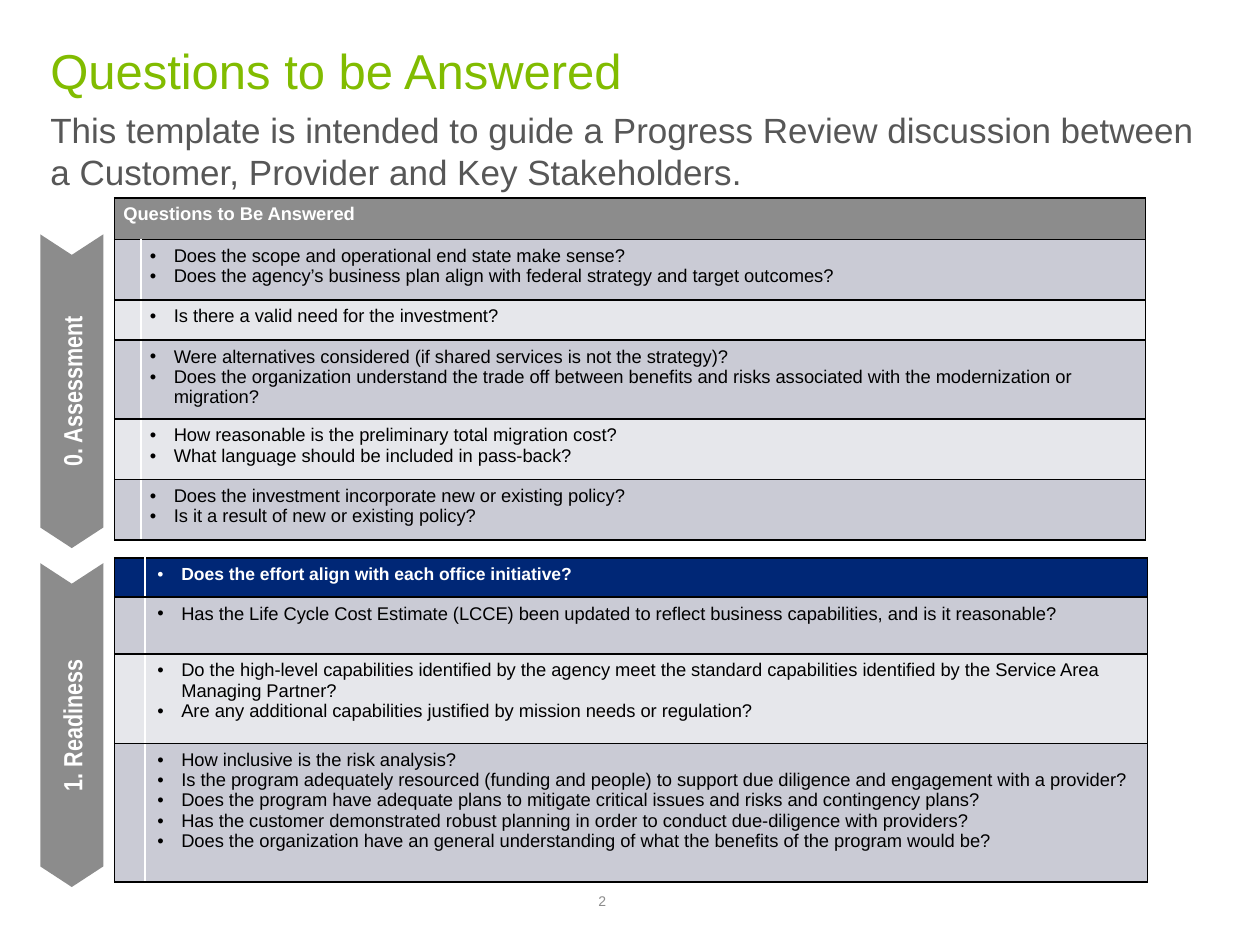
from dataclasses import dataclass
from lxml import etree
from pptx import Presentation
from pptx import util as u
from pptx.dml.color import RGBColor
from pptx.enum import shapes, text
from pptx.oxml.ns import qn


@dataclass(frozen=True)
class Theme:
    green: str = "81BC00"
    gray: str = "8C8C8C"
    slate: str = "575757"
    navy: str = "002776"
    dark: str = "CACBD5"
    light: str = "E6E7EB"
    white: str = "FFFFFF"
    black: str = "000000"
    title: float = 28
    lead: float = 20
    stage: float = 15
    cell: float = 10.5
    head: float = 10
    page: float = 8
    face: str = "Arial"
    slim: str = "Arial Narrow"


T = Theme()
INTRO = ("This template is intended to guide a Progress Review discussion "
         "between a Customer, Provider and Key Stakeholders.")
ASSESS = [
    (0.33, T.gray, ["Questions to Be Answered"]),
    (0.48, T.dark, [
        "Does the scope and operational end state make sense?",
        "Does the agency’s business plan align with federal strategy and target outcomes?"]),
    (0.32, T.light, ["Is there a valid need for the investment?"]),
    (0.48, T.dark, [
        "Were alternatives considered (if shared services is not the strategy)?",
        "Does the organization understand the trade off between benefits and risks "
        "associated with the modernization or migration?"]),
    (0.48, T.light, [
        "How reasonable is the preliminary total migration cost?",
        "What language should be included in pass-back?"]),
    (0.48, T.dark, [
        "Does the investment incorporate new or existing policy?",
        "Is it a result of new or existing policy?"]),
]
READY = [
    (0.31, T.navy, ["Does the effort align with each office initiative?"]),
    (0.45, T.dark, [
        "Has the Life Cycle Cost Estimate (LCCE) been updated to reflect business "
        "capabilities, and is it reasonable?"]),
    (0.71, T.light, [
        "Do the high-level capabilities identified by the agency meet the standard "
        "capabilities identified by the Service Area Managing Partner?",
        "Are any additional capabilities justified by mission needs or regulation?"]),
    (1.1, T.dark, [
        "How inclusive is the risk analysis?",
        "Is the program adequately resourced (funding and people) to support due "
        "diligence and engagement with a provider?",
        "Does the program have adequate plans to mitigate critical issues and risks "
        "and contingency plans?",
        "Has the customer demonstrated robust planning in order to conduct "
        "due-diligence with providers?",
        "Does the organization have an general understanding of what the benefits "
        "of the program would be?"]),
]


def style(obj, form):
    for name, value in form.items():
        setattr(obj, name, value)


def paint(fill, color):
    fill.solid()
    fill.fore_color.rgb = RGBColor.from_string(color)


def write(para, words, size, color, bold=False, face=T.face):
    run = para.add_run()
    run.text = words
    style(run.font, {"size": u.Pt(size), "bold": bold, "name": face})
    run.font.color.rgb = RGBColor.from_string(color)


def inset(frame, **form):
    sides = {f"margin_{side}": 0 for side in ("left", "top", "right", "bottom")}
    style(frame, {**sides, "word_wrap": True, **form})


def label(slide, box, words, size, color, anchor=text.MSO_ANCHOR.TOP):
    frame = slide.shapes.add_textbox(*map(u.Inches, box)).text_frame
    inset(frame, vertical_anchor=anchor)
    write(frame.paragraphs[0], words, size, color)


def stage(slide, box, words):
    left, top, wide, high = box
    place = (left + (wide - high) / 2, top + (high - wide) / 2, high, wide)
    shape = slide.shapes.add_shape(shapes.MSO_SHAPE.CHEVRON, *map(u.Inches, place))
    shape.adjustments[0] = 0.326
    shape.rotation = 270
    shape._element.spPr.find(qn("a:xfrm")).set("flipH", "1")
    shape.shadow.inherit = False
    paint(shape.fill, T.gray)
    shape.line.fill.background()
    inset(shape.text_frame, vertical_anchor=text.MSO_ANCHOR.MIDDLE)
    para = shape.text_frame.paragraphs[0]
    para.alignment = text.PP_ALIGN.CENTER
    write(para, words, T.stage, T.white, True, T.slim)


def bullet(para, color):
    props = para._p.get_or_add_pPr()
    indent = u.Inches(0.19)
    props.set("marL", str(indent))
    props.set("indent", str(-indent))
    tint = etree.SubElement(props, qn("a:buClr"))
    etree.SubElement(tint, qn("a:srgbClr"), val=color)
    etree.SubElement(props, qn("a:buFont"), typeface=T.face)
    etree.SubElement(props, qn("a:buChar"), char="•")


def border(cell, **colors):
    props = cell._tc.get_or_add_tcPr()
    sides = {"lnL": T.black, "lnR": T.black, "lnT": T.black, "lnB": T.black, **colors}
    for spot, (side, color) in enumerate(sides.items()):
        line = etree.Element(qn(f"a:{side}"), w=str(u.Pt(1)))
        fill = etree.SubElement(line, qn("a:solidFill"))
        etree.SubElement(fill, qn("a:srgbClr"), val=color)
        props.insert(spot, line)


def grid(slide, box, rows, slot, pad, title=False):
    wide = box[2]
    frame = slide.shapes.add_table(len(rows), 2, *map(u.Inches, box))
    table = frame.table
    for col, size in zip(table.columns, (slot, wide - slot)):
        col.width = u.Inches(size)
    for index, (high, fill, lines) in enumerate(rows):
        table.rows[index].height = u.Inches(high)
        blank, cell = table.cell(index, 0), table.cell(index, 1)
        for part in (blank, cell):
            paint(part.fill, fill)
            style(part, {"margin_left": u.Inches(pad), "margin_right": u.Inches(pad)})
        first = index == 0
        whole = title and first
        border(blank, lnR=T.black if whole else T.white)
        border(cell, lnL=T.black if whole else T.white)
        if whole:
            blank.merge(cell)
            cell = blank
        else:
            para = blank.text_frame.paragraphs[0]._p
            etree.SubElement(para, qn("a:endParaRPr"), sz=str(u.Pt(T.head).centipoints))
        color = T.white if first else T.black
        size = T.head if first and not title else T.cell
        for spot, words in enumerate(lines):
            area = cell.text_frame
            para = area.add_paragraph() if spot else area.paragraphs[0]
            if not whole:
                bullet(para, color)
            write(para, words, size, color, first)


def main():
    deck = Presentation()
    style(deck, {"slide_width": u.Inches(10), "slide_height": u.Inches(7.5)})
    slide = deck.slides.add_slide(deck.slide_layouts[6])
    label(slide, (4.75, 7.09, 0.5, 0.13), "2", T.page, T.gray, text.MSO_ANCHOR.BOTTOM)
    label(slide, (0.4, 0.86, 9.2, 0.83), INTRO, T.lead, T.slate)
    label(slide, (0.4, 0.32, 9.2, 0.51), "Questions to be Answered", T.title, T.green)
    grid(slide, (0.91, 1.57, 8.18, 2.72), ASSESS, 0.21, 0.07, True)
    stage(slide, (0.32, 1.86, 0.5, 2.49), "0. Assessment")
    stage(slide, (0.32, 4.47, 0.5, 2.57), "1. Readiness")
    grid(slide, (0.91, 4.43, 8.18, 2.57), READY, 0.22, 0.1)
    deck.save("out.pptx")


if __name__ == "__main__":
    main()
